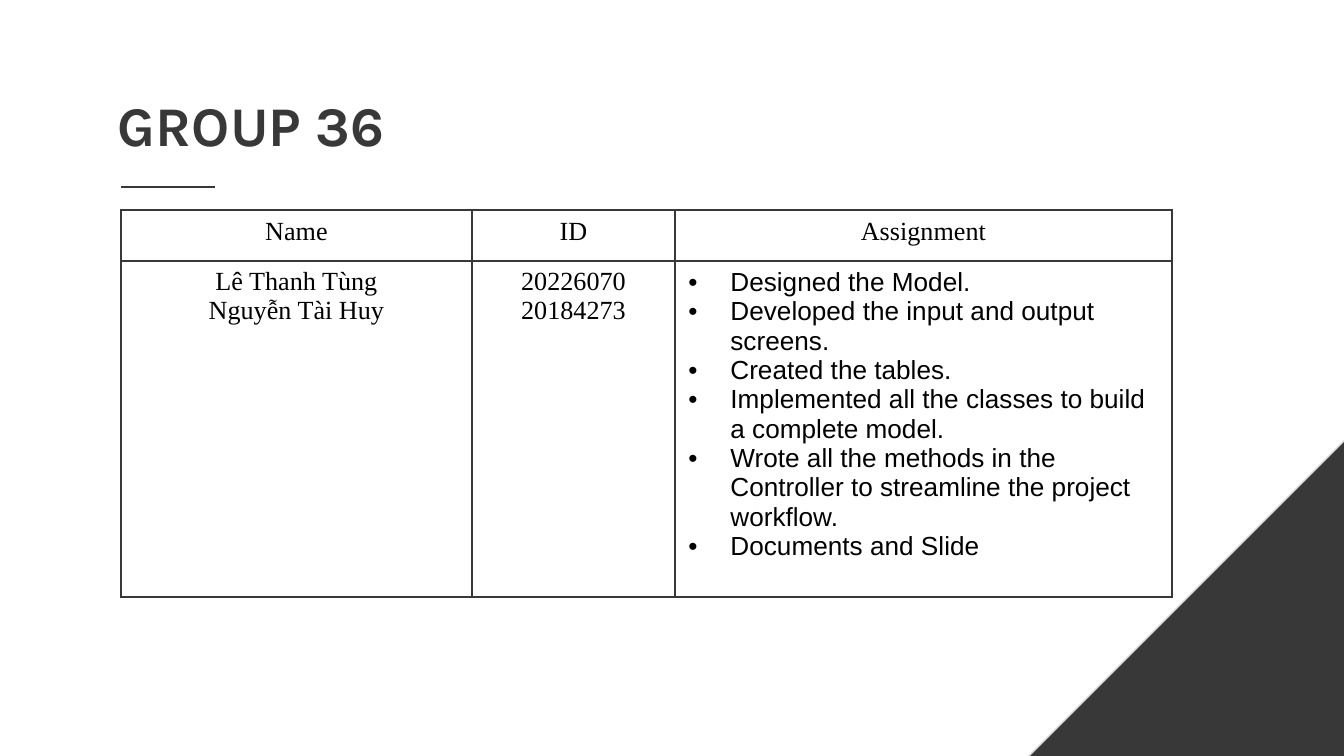
from lxml.etree import SubElement
from pptx import Presentation
from pptx.dml.color import RGBColor
from pptx.enum.shapes import MSO_CONNECTOR as CONN, MSO_SHAPE as SHAPE
from pptx.enum.text import PP_ALIGN as ALIGN
from pptx.oxml import parse_xml
from pptx.oxml.ns import nsdecls, qn
from pptx.util import Pt

SCALE = 9144000 / 1344
DARK = "383838"
BLACK = "000000"
SERIF = "Times New Roman"
COLUMNS = [351, 203, 497]
ROWS = [51, 336]
HEADERS = ["Name", "ID", "Assignment"]
NAMES = ["Lê Thanh Tùng", "Nguyễn Tài Huy"]
IDS = ["20226070", "20184273"]
TASKS = [
    "Designed the Model.",
    "Developed the input and output screens.",
    "Created the tables.",
    "Implemented all the classes to build a complete model.",
    "Wrote all the methods in the Controller to streamline the project workflow.",
    "Documents and Slide",
]


def px(n):
    return round(n * SCALE)


def color(hex_code):
    return RGBColor.from_string(hex_code)


def add_run(p, text, font, size, hex_code, bold=False):
    r = p.add_run()
    r.text = text
    r.font.name = font
    r.font.size = Pt(size)
    r.font.bold = bold
    r.font.color.rgb = color(hex_code)


def add_bullet(p):
    pPr = p._p.get_or_add_pPr()
    pPr.set("marL", str(px(42)))
    pPr.set("indent", str(-px(42)))
    clr = SubElement(pPr, qn("a:buClr"))
    SubElement(clr, qn("a:srgbClr"), val=BLACK)
    SubElement(pPr, qn("a:buFont"), typeface="Arial")
    SubElement(pPr, qn("a:buChar"), char="•")


def add_borders(cell):
    tcPr = cell._tc.get_or_add_tcPr()
    for i, side in enumerate(["lnL", "lnR", "lnT", "lnB"]):
        tcPr.insert(i, parse_xml(
            f'<a:{side} {nsdecls("a")} w="{Pt(1)}"><a:solidFill>'
            f'<a:srgbClr val="{DARK}"/></a:solidFill></a:{side}>'))


def fill_cell(cell, lines, font=SERIF, bullets=False):
    cell.fill.background()
    add_borders(cell)
    tf = cell.text_frame
    for i, line in enumerate(lines):
        p = tf.add_paragraph() if i else tf.paragraphs[0]
        if bullets:
            add_bullet(p)
        else:
            p.alignment = ALIGN.CENTER
        add_run(p, line, font, 14, BLACK)


def add_corner(s, x, y, w, h):
    sp = s.shapes.add_shape(SHAPE.RIGHT_TRIANGLE, px(x), px(y), px(w), px(h))
    sp.shadow.inherit = False
    sp._element.spPr.find(qn("a:xfrm")).set("flipH", "1")
    sp.fill.solid()
    sp.fill.fore_color.rgb = color(DARK)
    sp.line.color.rgb = color("DBDBDB")
    sp.line.width = Pt(0.75)


def add_heading(s, x, y, w, h, text):
    sp = s.shapes.add_textbox(px(x), px(y), px(w), px(h))
    tf = sp.text_frame
    tf.word_wrap = True
    inset = px(13)
    tf.margin_left = tf.margin_right = tf.margin_top = tf.margin_bottom = inset
    add_run(tf.paragraphs[0], text, "Karla", 30, DARK, bold=True)
    rule_x, rule_y = x + 16, y + 109
    rule = s.shapes.add_connector(
        CONN.STRAIGHT, px(rule_x), px(rule_y), px(rule_x + 94), px(rule_y))
    rule.line.color.rgb = color(DARK)
    rule.line.width = Pt(1.5)
    SubElement(rule._element.spPr, qn("a:effectLst"))


def add_assignments(s, x, y):
    table = s.shapes.add_table(
        len(ROWS), len(COLUMNS), px(x), px(y),
        px(sum(COLUMNS)), px(sum(ROWS))).table
    table.first_row = False
    table.horz_banding = False
    for column, width in zip(table.columns, COLUMNS):
        column.width = px(width)
    for row, height in zip(table.rows, ROWS):
        row.height = px(height)
    for i, header in enumerate(HEADERS):
        fill_cell(table.cell(0, i), [header])
    fill_cell(table.cell(1, 0), NAMES)
    fill_cell(table.cell(1, 1), IDS)
    fill_cell(table.cell(1, 2), TASKS, "Arial", bullets=True)


def main():
    prs = Presentation()
    prs.slide_width = px(1344)
    prs.slide_height = px(756)
    s = prs.slides.add_slide(prs.slide_layouts[6])
    add_corner(s, 853, 226, 706, 706)
    add_heading(s, 105, 78, 848, 78, "GROUP 36")
    add_assignments(s, 121, 210)
    prs.save("out.pptx")


if __name__ == "__main__":
    main()
